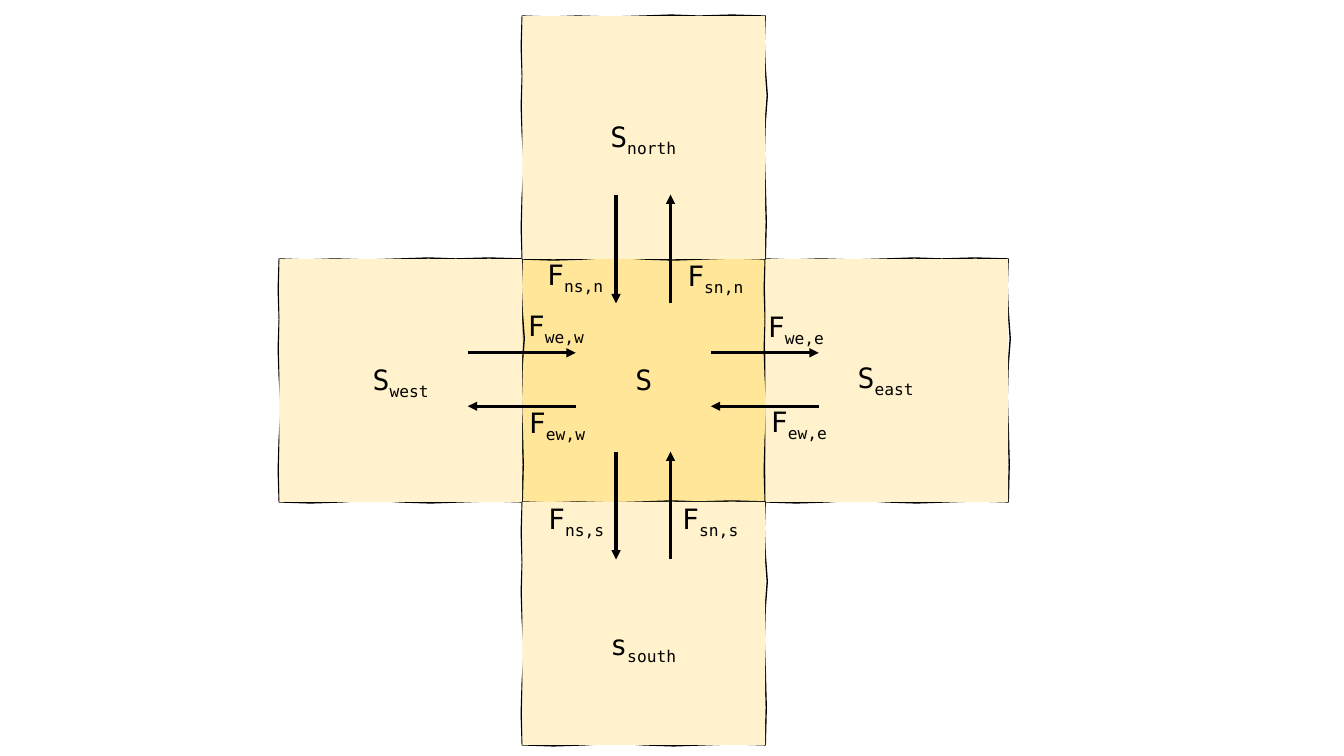
from dataclasses import dataclass

from lxml.etree import SubElement
from pptx import Presentation
from pptx.dml.color import RGBColor
from pptx.enum.shapes import MSO_CONNECTOR, MSO_SHAPE
from pptx.enum.text import MSO_AUTO_SIZE, PP_ALIGN
from pptx.oxml.ns import qn
from pptx.util import Inches, Pt


@dataclass(frozen=True)
class Theme:
    center: RGBColor = RGBColor(0xFF, 0xE6, 0x99)
    neighbor: RGBColor = RGBColor(0xFF, 0xF2, 0xCC)
    ink: RGBColor = RGBColor(0, 0, 0)
    font: str = "DejaVu Sans Mono"
    size: Pt = Pt(20)
    border: Pt = Pt(1)
    arrow: Pt = Pt(2.25)


theme = Theme()
SIDE = 2.41
LEFT, TOP = 5.18, 2.57

SKETCH = [
    (0.27, 0.01), (0.55, 0), (0.88, 0.01), (1.2, 0), (1.48, -0.01), (1.75, 0),
    (2.08, -0.01), (2.41, 0), (2.4, 0.26), (2.41, 0.52), (2.43, 0.79), (2.41, 1.05),
    (2.4, 1.37), (2.41, 1.68), (2.42, 2.04), (2.41, 2.41), (2.1, 2.4), (1.8, 2.41),
    (1.5, 2.42), (1.2, 2.41), (0.91, 2.39), (0.62, 2.41), (0.31, 2.42), (0, 2.41),
    (-0.01, 2.1), (0, 1.78), (0.02, 1.48), (0, 1.17), (-0.01, 0.89), (0, 0.6),
    (-0.01, 0.3),
]

prs = Presentation()
prs.slide_width, prs.slide_height = Inches(13.33), Inches(7.5)
s = prs.slides.add_slide(prs.slide_layouts[6])

for column, row in [(0, 0), (1, 0), (-1, 0), (0, -1), (0, 1)]:
    x, y = LEFT + column * SIDE, TOP + row * SIDE
    builder = s.shapes.build_freeform(Inches(x), Inches(y))
    builder.add_line_segments([(Inches(x + dx), Inches(y + dy)) for dx, dy in SKETCH])
    border = builder.convert_to_shape()
    border.shadow.inherit = False
    border.fill.background()
    border.line.color.rgb = theme.ink
    border.line.width = theme.border
    area = s.shapes.add_shape(MSO_SHAPE.RECTANGLE, *map(Inches, (x, y, SIDE, SIDE)))
    area.shadow.inherit = False
    area.fill.solid()
    area.fill.fore_color.rgb = theme.neighbor if column or row else theme.center
    area.line.fill.background()

arrows = []
for top, bottom in [(1.93, 3.01), (4.48, 5.55)]:
    arrows += [(6.11, top, 6.11, bottom), (6.65, bottom, 6.65, top)]
for left, right in [(4.64, 5.71), (7.05, 8.12)]:
    arrows += [(right, 4.03, left, 4.03), (left, 3.5, right, 3.5)]

for ends in arrows:
    flux = s.shapes.add_connector(MSO_CONNECTOR.STRAIGHT, *map(Inches, ends))
    flux.line.color.rgb = theme.ink
    flux.line.width = theme.arrow
    SubElement(flux.line._get_or_add_ln(), qn("a:tailEnd"), type="triangle")
    SubElement(flux._element.spPr, qn("a:effectLst"))

labels = [
    ("F", "we,e", 7.49, 3.02, 0.81), ("F", "ew,e", 7.52, 3.96, 0.81),
    ("F", "ew,w", 5.12, 3.97, 0.81), ("F", "we,w", 5.11, 3.01, 0.81),
    ("F", "ns,s", 5.31, 4.93, 0.81), ("F", "sn,s", 6.64, 4.93, 0.81),
    ("F", "ns,n", 5.3, 2.51, 0.81), ("F", "sn,n", 6.69, 2.52, 0.81),
    ("S", "east", 8.38, 3.53, 0.81), ("s", "south", 5.92, 6.18, 0.92),
    ("S", "north", 5.92, 1.14, 0.92), ("S", "west", 3.57, 3.55, 0.81),
    ("S", "", 6.2, 3.55, 0.37),
]
for symbol, subscript, x, y, width in labels:
    tf = s.shapes.add_textbox(*map(Inches, (x, y, width, 0.44))).text_frame
    tf.word_wrap = False
    tf.auto_size = MSO_AUTO_SIZE.SHAPE_TO_FIT_TEXT
    p = tf.paragraphs[0]
    p.alignment = PP_ALIGN.CENTER
    p.text = symbol
    if subscript:
        r = p.add_run()
        r.text = subscript
        r.font._element.set("baseline", "-25000")
    for r in p.runs:
        r.font.name = theme.font
        r.font.size = theme.size
        r.font.color.rgb = theme.ink

prs.save("out.pptx")
